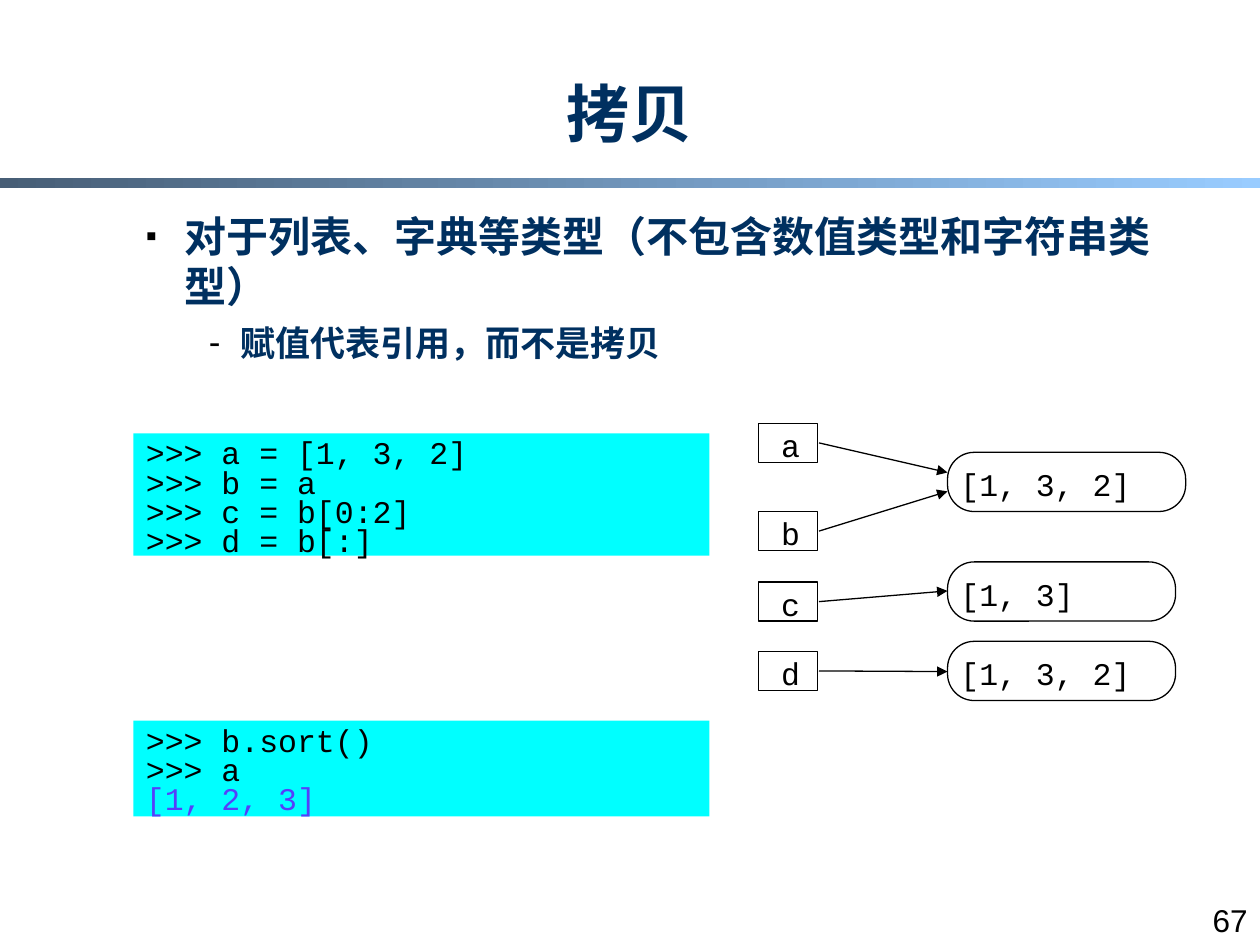
from lxml import etree
from pptx import Presentation
from pptx.dml.color import RGBColor
from pptx.enum import shapes, text
from pptx.oxml import ns
from pptx.util import Inches, Pt

COLORS = {
    "navy": "003060",
    "black": "000000",
    "code": "00FFFF",
    "result": "553FFB",
    "bar_start": "475E76",
    "bar_end": "99CCFF",
}
CODE_FONT = "Courier New"


def color(name):
    return RGBColor.from_string(COLORS[name])


def add_xml(parent, tag, **attributes):
    return etree.SubElement(parent, ns.qn(tag), attributes)


def set_font(paragraph, size, name="Arial", tint="black", bold=False):
    font = paragraph.font
    font.size, font.name, font.bold = Pt(size), name, bold
    font.color.rgb = color(tint)


def set_margins(frame, left, top, right=0.1, bottom=0.05):
    frame.margin_left, frame.margin_top = Inches(left), Inches(top)
    frame.margin_right, frame.margin_bottom = Inches(right), Inches(bottom)


def add_block(slide, kind, left, top, width, height, fill=None, outlined=False):
    block = slide.shapes.add_shape(
        kind, Inches(left), Inches(top), Inches(width), Inches(height))
    block.shadow.inherit = False
    if fill:
        block.fill.solid()
        block.fill.fore_color.rgb = color(fill)
    else:
        block.fill.background()
    if outlined:
        block.line.color.rgb = color("black")
        block.line.width = Pt(0.75)
    else:
        block.line.fill.background()
    return block


def write_code(block, lines, spacing):
    frame = block.text_frame
    frame.word_wrap = True
    frame.vertical_anchor = text.MSO_ANCHOR.TOP
    for index, (line, tint) in enumerate(lines):
        paragraph = frame.add_paragraph() if index else frame.paragraphs[0]
        paragraph.text = line
        paragraph.alignment = text.PP_ALIGN.LEFT
        paragraph.line_spacing = spacing
        paragraph.space_before = Pt(8.8)
        set_font(paragraph, 18, CODE_FONT, tint)


def add_title(slide, wording):
    title = slide.shapes.title
    title.left, title.top = Inches(1.08), Inches(0.33)
    title.width, title.height = Inches(7.83), Inches(0.92)
    title.text_frame.vertical_anchor = text.MSO_ANCHOR.BOTTOM
    title.text_frame.text = wording
    heading = title.text_frame.paragraphs[0]
    heading.alignment = text.PP_ALIGN.CENTER
    heading.line_spacing = 0.9
    set_font(heading, 36, tint="navy", bold=True)


def add_divider(slide):
    bar = add_block(slide, shapes.MSO_SHAPE.RECTANGLE, 0, 1.41, 10, 0.08)
    bar.fill.gradient()
    bar.fill.gradient_angle = 0
    for stop, position, name in zip(
            bar.fill.gradient_stops, (0, 1), ("bar_start", "bar_end")):
        stop.position = position
        stop.color.rgb = color(name)


def add_bullets(slide, bullets):
    frame = slide.shapes.add_textbox(
        Inches(1.06), Inches(1.62), Inches(8.27), Inches(4.67)).text_frame
    frame.word_wrap = True
    for index, (wording, size, indent, hanging, mark, scale) in enumerate(bullets):
        paragraph = frame.add_paragraph() if index else frame.paragraphs[0]
        paragraph.text = wording
        paragraph.level = index
        paragraph.space_before = Pt(size * 0.3)
        set_font(paragraph, size, tint="navy", bold=True)
        properties = paragraph._p.get_or_add_pPr()
        properties.set("marL", str(Inches(indent)))
        properties.set("indent", str(-Inches(hanging)))
        defaults = properties.find(ns.qn("a:defRPr"))
        bullet_color = etree.Element(ns.qn("a:buClr"))
        add_xml(bullet_color, "a:srgbClr", val=COLORS["black"])
        bullet_size = etree.Element(ns.qn("a:buSzPct"), val=str(scale * 1000))
        bullet_font = etree.Element(ns.qn("a:buFont"), typeface="Arial")
        bullet_mark = etree.Element(ns.qn("a:buChar"), char=mark)
        for part in (bullet_color, bullet_size, bullet_font, bullet_mark):
            defaults.addprevious(part)


def add_code(slide, top, height, lines):
    block = add_block(
        slide, shapes.MSO_SHAPE.RECTANGLE, 1.06, top, 4.57, height, fill="code")
    set_margins(block.text_frame, 0.1, 0.16, bottom=0.08)
    write_code(block, lines, 0.37)


def add_name(slide, name, top):
    box = add_block(
        slide, shapes.MSO_SHAPE.RECTANGLE, 6.02, top, 0.47, 0.31, outlined=True)
    set_margins(box.text_frame, 0.18, 0.05, right=0)
    write_code(box, [(name, "black")], 0.92)


def add_value(slide, value, top, width):
    pill = add_block(slide, shapes.MSO_SHAPE.ROUNDED_RECTANGLE,
                     7.52, top, width, 0.47, outlined=True)
    pill.adjustments[0] = 0.45
    set_margins(pill.text_frame, 0.04, 0.07)
    write_code(pill, [(value, "black")], 0.92)


def add_reference(slide, start, end):
    arrow = slide.shapes.add_connector(
        shapes.MSO_CONNECTOR.STRAIGHT,
        Inches(6.5), Inches(start), Inches(7.52), Inches(end))
    arrow.line.color.rgb = color("black")
    arrow.line.width = Pt(0.75)
    add_xml(arrow.line._get_or_add_ln(), "a:tailEnd", type="triangle")
    add_xml(arrow._element.spPr, "a:effectLst")


def add_page_number(slide, number):
    frame = slide.shapes.add_textbox(
        Inches(9.5), Inches(7.1), Inches(0.5), Inches(0.4)).text_frame
    frame.word_wrap = False
    frame.text = number
    frame.paragraphs[0].alignment = text.PP_ALIGN.RIGHT
    set_font(frame.paragraphs[0], 18)


def main():
    deck = Presentation()
    deck.slide_width, deck.slide_height = Inches(10), Inches(7.5)
    slide = deck.slides.add_slide(deck.slide_layouts[5])

    add_page_number(slide, "67")
    add_divider(slide)
    add_title(slide, "拷贝")
    add_bullets(slide, [
        ("对于列表、字典等类型（不包含数值类型和字符串类型）", 24, 0.31, 0.31, "▪", 75),
        ("赋值代表引用，而不是拷贝", 20, 0.75, 0.25, "-", 100),
    ])
    add_code(slide, 3.44, 0.97, [
        (">>> a = [1, 3, 2]", "black"),
        (">>> b = a", "black"),
        (">>> c = b[0:2]", "black"),
        (">>> d = b[:]", "black"),
    ])
    add_code(slide, 5.72, 0.76, [
        (">>> b.sort()", "black"),
        (">>> a", "black"),
        ("[1, 2, 3]", "result"),
    ])
    for name, top, target in (
            ("a", 3.36, 3.75), ("b", 4.06, 3.9), ("c", 4.62, 4.69), ("d", 5.17, 5.33)):
        add_name(slide, name, top)
        add_reference(slide, top + 0.155, target)
    for value, top, width in (
            ("[1, 3, 2]", 3.59, 1.89), ("[1, 3]", 4.46, 1.81), ("[1, 3, 2]", 5.09, 1.81)):
        add_value(slide, value, top, width)

    deck.save("out.pptx")


if __name__ == "__main__":
    main()
